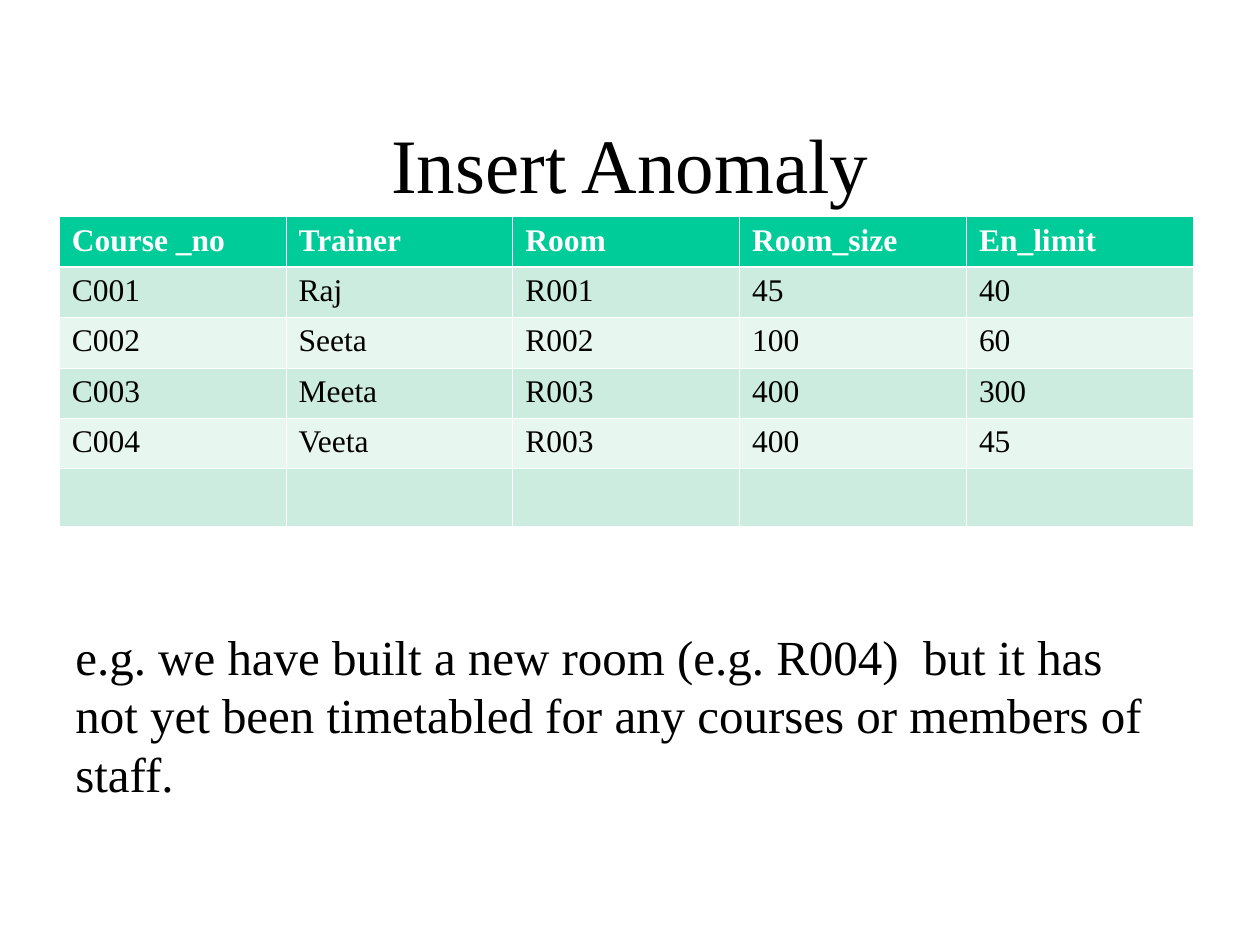
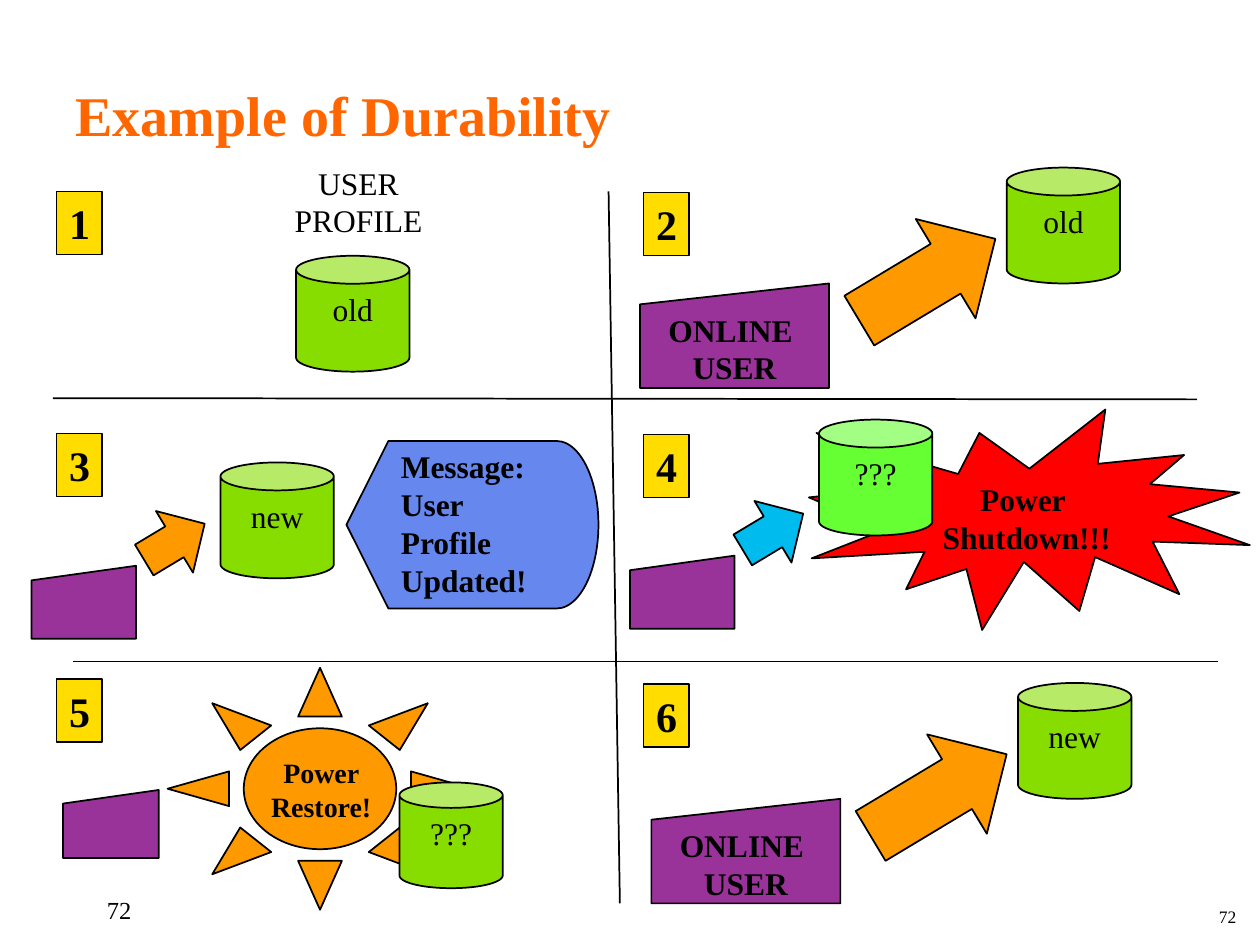
from dataclasses import dataclass

from lxml import etree
from pptx import Presentation
from pptx.dml.color import RGBColor
from pptx.enum.shapes import MSO_CONNECTOR, MSO_SHAPE as Preset
from pptx.enum.text import MSO_ANCHOR as Anchor, MSO_AUTO_SIZE, PP_ALIGN as Align
from pptx.oxml.ns import qn
from pptx.util import Inches, Pt

SLIDE_COLUMNS, SLIDE_ROWS = 10, 7.5
CELL = Inches(1)
TITLE_ONLY = 5
FONT = "Times New Roman"
BLACK, WHITE = "000000", "FFFFFF"
TITLE_ORANGE = "FF6600"
HEADER_GREEN, BAND_DARK, BAND_LIGHT = "00CC99", "CBECDE", "E7F6EF"
BADGE_YELLOW, USER_PURPLE, MESSAGE_BLUE = "FFDD00", "993399", "6688EE"
POWER_ORANGE, ALARM_RED, FAILING_BLUE = "FF9900", "FF0000", "00BBEE"
PROFILE_GREEN, UNCERTAIN_GREEN = "88DD00", "66FF33"
PAGE_NUMBER = "72"

COURSES = [
    ["Course _no", "Trainer", "Room", "Room_size", "En_limit"],
    ["C001", "Raj", "R001", "45", "40"],
    ["C002", "Seeta", "R002", "100", "60"],
    ["C003", "Meeta", "R003", "400", "300"],
    ["C004", "Veeta", "R003", "400", "45"],
    [""] * 5,
]
EXAMPLE = ("e.g. we have built a new room (e.g. R004)  but it has not yet been "
           "timetabled for any courses or members of staff.")


@dataclass
class Box:
    left: float
    top: float
    width: float = 0
    height: float = 0

    def inner(self, column, row, width=0, height=0):
        return Box(self.left + column, self.top + row, width, height)

    def emu(self):
        return [round(v * CELL) for v in (self.left, self.top, self.width, self.height)]


def rgb(value):
    return RGBColor.from_string(value)


def write(frame, text, size, bold=False, align=Align.LEFT, color=BLACK):
    frame.text = text
    for paragraph in frame.paragraphs:
        paragraph.alignment = align
        for run in paragraph.runs:
            run.font.name = FONT
            run.font.size = Pt(size)
            run.font.bold = bold
            run.font.color.rgb = rgb(color)


def add_label(slide, box, text, size, bold=False, align=Align.LEFT, wrap=True):
    frame = slide.shapes.add_textbox(*box.emu()).text_frame
    frame.word_wrap = wrap
    write(frame, text, size, bold, align)
    return frame


def add_figure(slide, preset, box, fill, text="", size=18, bold=False,
               align=Align.CENTER, weight=1, adjust=None, rotation=0):
    figure = slide.shapes.add_shape(preset, *box.emu())
    figure.shadow.inherit = False
    figure.fill.solid()
    figure.fill.fore_color.rgb = rgb(fill)
    figure.line.color.rgb = rgb(BLACK)
    figure.line.width = Pt(weight)
    figure.rotation = rotation
    if adjust:
        figure.adjustments[0] = adjust
    if text:
        figure.text_frame.vertical_anchor = Anchor.TOP
        write(figure.text_frame, text, size, bold, align)
    return figure


def add_titled_slide(deck, box, text, size, anchor, **style):
    slide = deck.slides.add_slide(deck.slide_layouts[TITLE_ONLY])
    title = slide.shapes.title
    title.left, title.top, title.width, title.height = box.emu()
    frame = title.text_frame
    frame.word_wrap = True
    frame.auto_size = MSO_AUTO_SIZE.NONE
    frame.vertical_anchor = anchor
    write(frame, text, size, **style)
    return slide


def set_borders(cell, weights):
    properties = cell._tc.get_or_add_tcPr()
    for index, (side, weight) in enumerate(weights.items()):
        border = etree.Element(qn(f"a:{side}"), w=str(Pt(weight)))
        fill = etree.SubElement(border, qn("a:solidFill"))
        etree.SubElement(fill, qn("a:srgbClr"), val=WHITE)
        properties.insert(index, border)


def add_course_table(slide, box):
    row_count, column_count = len(COURSES), len(COURSES[0])
    table = slide.shapes.add_table(row_count, column_count, *box.emu()).table
    table.rows[row_count - 1].height = round(0.46 * CELL)
    for row, values in enumerate(COURSES):
        header = row == 0
        fill = HEADER_GREEN if header else BAND_DARK if row % 2 else BAND_LIGHT
        for column, value in enumerate(values):
            cell = table.cell(row, column)
            write(cell.text_frame, value, 18, header, color=WHITE if header else BLACK)
            cell.fill.solid()
            cell.fill.fore_color.rgb = rgb(fill)
            set_borders(cell, {"lnL": 0.45, "lnR": 0.45,
                               "lnT": 1.47 if row == 1 else 0.45,
                               "lnB": 1.47 if header else 0.45})


def build_insert_anomaly(deck):
    slide = add_titled_slide(deck, Box(0.75, 0.67, 8.5, 1.25), "Insert Anomaly", 44,
                             Anchor.MIDDLE, align=Align.CENTER)
    add_course_table(slide, Box(0.47, 1.72, 9, 2.4))
    add_label(slide, Box(0.5, 4.92, 8.91, 1.5), EXAMPLE, 28)


def add_divider(slide, start, end):
    ends = [round(v * CELL) for v in (*start, *end)]
    divider = slide.shapes.add_connector(MSO_CONNECTOR.STRAIGHT, *ends)
    divider.line.color.rgb = rgb(BLACK)
    divider.line.width = Pt(1)
    etree.SubElement(divider._element.spPr, qn("a:effectLst"))


def add_page_number(slide, box, size, align):
    frame = add_label(slide, box, PAGE_NUMBER, size, align=align)
    frame.margin_top = Inches(0.05) + Pt(size * 1.15)


def add_badge(slide, box, number):
    badge = add_figure(slide, Preset.RECTANGLE, box.inner(0, 0, 0.36, 0.5), BADGE_YELLOW,
                       str(number), 24, True, Align.LEFT, weight=0.75)
    badge.text_frame.word_wrap = False


def add_profile(slide, box, state, fill=PROFILE_GREEN, width=0.9, height=0.92):
    add_figure(slide, Preset.CAN, box.inner(0, 0, width, height), fill, state, adjust=0.247)


def add_update_arrow(slide, box, fill=POWER_ORANGE):
    add_figure(slide, Preset.DOWN_ARROW, box, fill, adjust=0.5, rotation=239)


def add_user(slide, box, text=""):
    add_figure(slide, Preset.FLOWCHART_MANUAL_INPUT, box, USER_PURPLE, text, bold=True)


def add_online_update(slide, box, state):
    add_profile(slide, box.inner(2.91, 0), state)
    add_update_arrow(slide, box.inner(1.82, 0.26, 0.92, 1.26))
    add_user(slide, box.inner(0, 0.92, 1.5, 0.83), "ONLINE \nUSER")


def add_small_update(slide, box, fill=POWER_ORANGE):
    add_update_arrow(slide, box.inner(0.85, 0, 0.57, 0.56), fill)
    add_user(slide, box.inner(0, 0.47, 0.83, 0.58))


def add_initial_state(slide, box):
    add_label(slide, box.inner(0, 0, 1.65, 0.7), "USER PROFILE", 18, align=Align.CENTER)
    add_profile(slide, box.inner(0.33, 0.78), "old")


def add_confirmed_update(slide, box):
    add_profile(slide, box.inner(1.5, 0.17), "new")
    add_small_update(slide, box.inner(0, 0.52))
    add_figure(slide, Preset.FLOWCHART_DISPLAY, box.inner(2.5, 0, 2, 1.33), MESSAGE_BLUE,
               "Message: User Profile Updated!", bold=True, align=Align.LEFT)


def add_shutdown(slide, box):
    add_figure(slide, Preset.EXPLOSION1, box.inner(1.42, 0, 3.5, 1.75), ALARM_RED,
               "Power \nShutdown!!!", bold=True)
    add_profile(slide, box.inner(1.5, 0.08), "???", UNCERTAIN_GREEN)
    add_small_update(slide, box.inner(0, 0.69), FAILING_BLUE)


def add_restore(slide, box):
    add_figure(slide, Preset.SUN, box.inner(0.83, 0, 2.42, 1.92), POWER_ORANGE, adjust=0.25)
    add_profile(slide, box.inner(2.67, 0.91), "???", width=0.82, height=0.84)
    add_user(slide, box.inner(0, 0.97, 0.76, 0.54))
    add_label(slide, box.inner(1.55, 0.65, 1, 0.64), "Power\nRestore!", 16, True,
              Align.CENTER, wrap=False)


def build_durability(deck):
    slide = add_titled_slide(deck, Box(0.5, 0.22, 8.92, 1), "Example of Durability", 32,
                             Anchor.BOTTOM, bold=True, color=TITLE_ORANGE)
    add_page_number(slide, Box(0.75, 6.83, 2.08, 0.5), 14, Align.LEFT)
    add_page_number(slide, Box(7.58, 6.98, 2.33, 0.52), 10, Align.RIGHT)
    for start, end in [((0.42, 3.16), (9.5, 3.17)),
                       ((4.83, 1.52), (4.92, 7.17)),
                       ((0.58, 5.25), (9.67, 5.25))]:
        add_divider(slide, start, end)
    badge_tops = [1.52, 1.53, 3.44, 3.45, 5.39, 5.43]
    for index, top in enumerate(badge_tops):
        add_badge(slide, Box((0.45, 5.11)[index % 2], top), index + 1)
    add_initial_state(slide, Box(2.02, 1.25))
    add_online_update(slide, Box(5.08, 1.33), "old")
    add_confirmed_update(slide, Box(0.25, 3.5))
    add_shutdown(slide, Box(5, 3.25))
    add_restore(slide, Box(0.5, 5.3))
    add_online_update(slide, Box(5.17, 5.42), "new")


def main():
    deck = Presentation()
    deck.slide_width = round(SLIDE_COLUMNS * CELL)
    deck.slide_height = round(SLIDE_ROWS * CELL)
    build_insert_anomaly(deck)
    build_durability(deck)
    deck.save("out.pptx")


if __name__ == "__main__":
    main()
